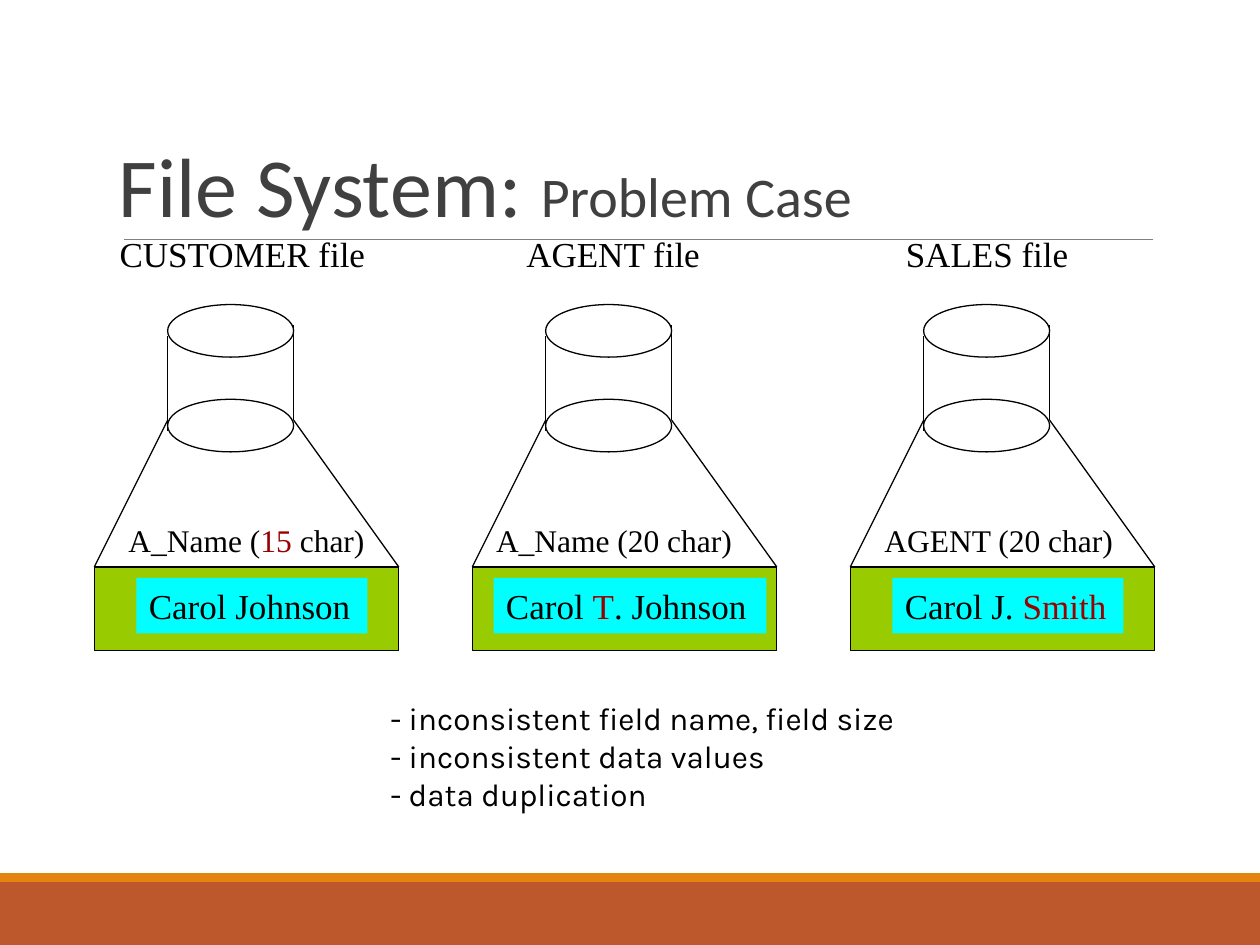
from pptx import Presentation
from pptx import util as u
from pptx.dml.color import RGBColor
from pptx.enum import shapes, text
from pptx.oxml import ns
from lxml import etree


def hue(code):
    return RGBColor.from_string(code)


class Sheet:
    """Draws styled elements on one slide, with lengths in centimetres."""

    serif = "Times New Roman"
    ink = "000000"
    mark = "990000"
    thin = 0.75

    def __init__(self, slide):
        self.slide = slide
        self.home = slide.shapes

    def shape(self, kind, box, fill=None, line=None):
        item = self.home.add_shape(kind, *map(u.Cm, box))
        item.shadow.inherit = False
        if fill:
            item.fill.solid()
            item.fill.fore_color.rgb = hue(fill)
        else:
            item.fill.background()
        if line:
            item.line.color.rgb = hue(line)
            item.line.width = u.Pt(self.thin)
        else:
            item.line.fill.background()
        return item

    def rect(self, box, fill, line=None):
        return self.shape(shapes.MSO_SHAPE.RECTANGLE, box, fill, line)

    def oval(self, box):
        return self.shape(shapes.MSO_SHAPE.OVAL, box, line=self.ink)

    def line(self, ends, tint=ink, width=thin):
        item = self.home.add_connector(
            shapes.MSO_CONNECTOR.STRAIGHT, *map(u.Cm, ends))
        item.line.color.rgb = hue(tint)
        item.line.width = u.Pt(width)
        etree.SubElement(item._element.spPr, ns.qn("a:effectLst"))

    def letter(self, item, parts, size, font=serif, tint=ink, hot=None, wrap=False):
        frame = item.text_frame
        frame.text = parts[0]
        frame.word_wrap = wrap
        frame.auto_size = text.MSO_AUTO_SIZE.SHAPE_TO_FIT_TEXT
        frame.vertical_anchor = text.MSO_ANCHOR.TOP
        para = frame.paragraphs[0]
        para.alignment = text.PP_ALIGN.LEFT
        for part in parts[1:]:
            para.add_run().text = part
        for run in para.runs:
            run.font.name = font
            run.font.size = u.Pt(size)
            run.font.color.rgb = hue(self.mark if run.text == hot else tint)
        return frame

    def label(self, box, parts, size, **style):
        return self.letter(self.home.add_textbox(*map(u.Cm, box)), parts, size, **style)

    def title(self, box, main, sub):
        frame = self.label(box, [main, sub], 48, font="Calibri", tint="404040", wrap=True)
        frame.auto_size = text.MSO_AUTO_SIZE.NONE
        frame.vertical_anchor = text.MSO_ANCHOR.BOTTOM
        frame.margin_left = frame.margin_bottom = u.Cm(0.1)
        para = frame.paragraphs[0]
        para.line_spacing = 0.85
        para.runs[1].font.size = u.Pt(32)

    def drum(self, left):
        group = self.slide.shapes.add_group_shape()
        self.home = group.shapes
        right = left + 2.54
        self.oval((left, 6.14, 2.54, 1.06))
        self.line((left, 6.78, left, 8.69))
        self.line((right, 6.56, right, 8.47))
        self.oval((left, 8.05, 2.54, 1.06))
        self.home = self.slide.shapes

    def record(self, left):
        neck, right = left + 1.48, left + 6.14
        self.drum(neck)
        self.line((neck, 8.47, left, 11.43))
        self.line((right, 11.43, neck + 2.54, 8.47))
        self.rect((left, 11.43, 6.14, 1.69), "99CC00", self.ink)


FILES = [
    ((2.16, 5.46, ["CUSTOMER file"], None),
     (2.34, 5.26, ["A_Name (", "15", " char)"], "15"),
     (2.75, 4.66, ["Carol Johnson"], None)),
    ((10.36, 4.01, ["AGENT file"], None),
     (9.75, 5.26, ["A_Name (20 char)"], None),
     (9.95, 5.5, ["Carol ", "T", ". Johnson"], "T")),
    ((18.01, 3.78, ["SALES file"], None),
     (17.58, 5.13, ["AGENT (20 char)"], None),
     (17.99, 4.66, ["Carol J. ", "Smith"], "Smith")),
]


def main():
    deck = Presentation()
    deck.slide_width, deck.slide_height = u.Cm(25.4), u.Cm(19.05)
    sheet = Sheet(deck.slides.add_slide(deck.slide_layouts[6]))

    sheet.rect((0, 17.78, 25.4, 1.27), "BD582C")
    sheet.rect((0, 17.6, 25.4, 0.18), "E48312")
    sheet.line((2.49, 4.83, 23.24, 4.83), "7F7F7F", 0.5)
    sheet.title((2.29, 0.79, 20.95, 4.04), "File System: ", "Problem Case")

    for i, (caption, field, value) in enumerate(FILES):
        left, width, parts, hot = caption
        sheet.label((left, 4.57, width, 1.12), parts, 20, hot=hot)
        sheet.record(1.9 + 7.62 * i)
        left, width, parts, hot = field
        sheet.label((left, 10.37, width, 1.02), parts, 18, hot=hot)
        left, width, parts, hot = value
        plate = sheet.rect((left, 11.65, width, 1.12), "00FFFF")
        sheet.letter(plate, parts, 20, hot=hot, wrap=True)

    flaws = ["- inconsistent field name, field size",
             "- inconsistent data values", "- data duplication"]
    frame = sheet.label((7.62, 13.97, 11.23, 2.54), ["\v".join(flaws)], 18,
                        font="Karla", wrap=True)
    frame.paragraphs[0].space_before = u.Pt(11.2)
    deck.save("out.pptx")


if __name__ == "__main__":
    main()
